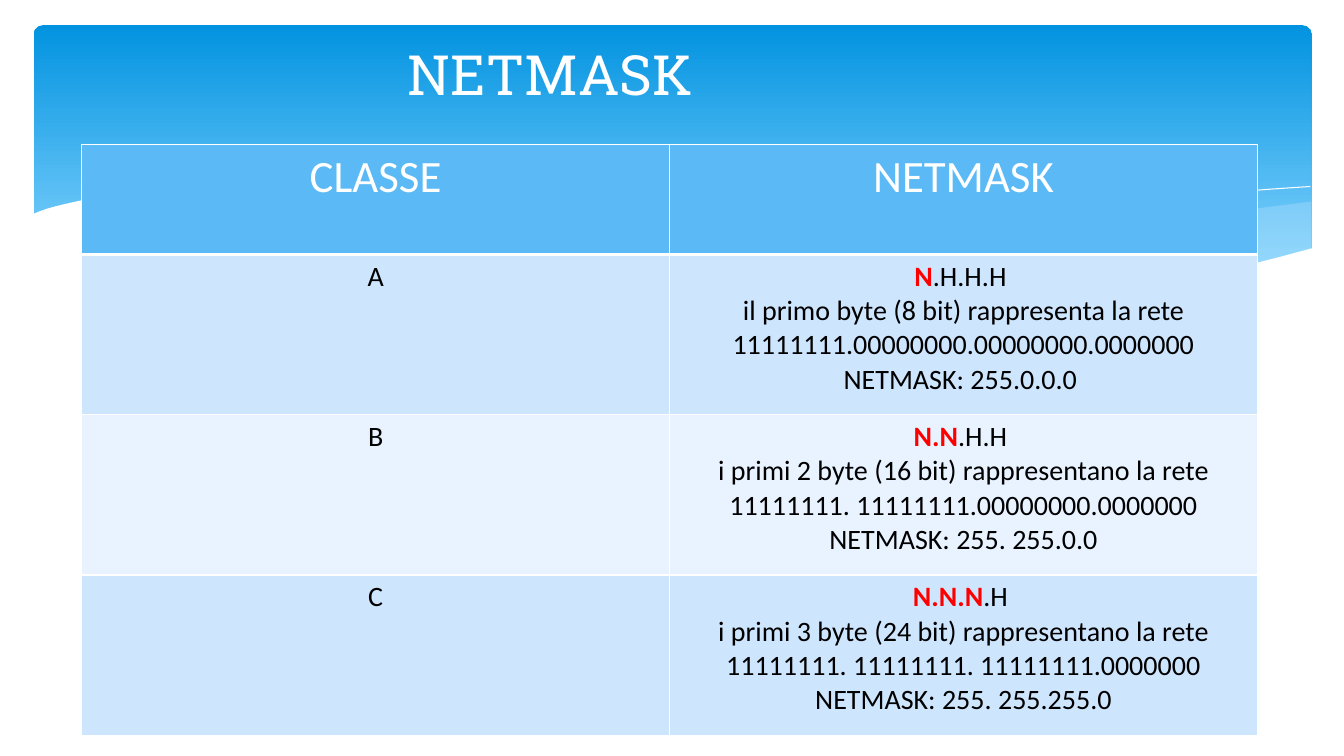
import pptx
import pptx.dml.color
import pptx.enum.shapes
import pptx.enum.text
import pptx.oxml
import pptx.oxml.ns
import pptx.util

WIDE = pptx.util.Inches(13.33)
HIGH = pptx.util.Inches(7.5)
COL = WIDE / 40
ROW = HIGH / 30
STEPS = 4

WHITE, BLACK, RED, PALE = "FFFFFF", "000000", "FF0000", "C6E7FC"
HEAD = "5BBAF6"
BANDS = ["CEE5FE", "E8F3FF"]

WAVE = [(39.09, 9.84), (36.81, 10.6), (34.53, 10.96), (32.34, 11.08),
        (29.76, 10.96), (26.73, 10.6), (23.16, 10), (20.13, 9.32),
        (17.88, 8.8), (14.58, 8.08), (11.7, 7.6), (9.18, 7.4),
        (7.05, 7.36), (4.74, 7.48), (3.03, 7.8), (1.62, 8.2), (0.93, 8.52)]
BASE = [(0.93, 13.16), (39.09, 13.16)]
TAIL_TOP = [(39.03, 8), (37.38, 8.28), (35.64, 8.64), (34.41, 8.92),
            (32.19, 9.48), (29.16, 10.12), (26.46, 10.6)]
TAIL_LOW = [(26.46, 10.6), (28.2, 10.84), (30.27, 11.04), (32.55, 11.12),
            (34.89, 10.96), (37.14, 10.52), (39.03, 9.88)]
SWELL_TOP = [(11.46, 7.64), (13.11, 7.48), (15.18, 7.4), (17.67, 7.56),
             (20.58, 7.92), (23.34, 8.44), (25.17, 8.88), (28.23, 9.6),
             (31.02, 10.16), (33.48, 10.6), (35.7, 10.92)]
SWELL_LOW = [(35.7, 10.92), (33.93, 11.08), (31.83, 11.12), (29.43, 11),
             (26.61, 10.64), (23.37, 10.08), (19.62, 9.28), (17.07, 8.64),
             (14.49, 8.12), (11.46, 7.64)]
LONG_LINE = [(12.36, 7.8), (14.1, 7.56), (16.65, 7.48), (19.56, 7.6),
             (22.26, 7.88), (25.44, 8.32), (29.1, 9.04), (31.8, 9.64),
             (36.3, 10.88)]
SHORT_LINE = [(24.54, 10.28), (27.81, 9.4), (31.05, 8.64), (34.65, 7.96),
              (36.96, 7.6), (39, 7.4)]

NETS = [
    ("A", "N", ".H.H.H ", ["il primo byte (8 bit) rappresenta la rete",
                           "11111111.00000000.00000000.0000000",
                           "NETMASK: 255.0.0.0 "]),
    ("B", "N.N", ".H.H ", ["i primi 2 byte (16 bit) rappresentano la rete",
                           "11111111. 11111111.00000000.0000000",
                           "NETMASK: 255. 255.0.0"]),
    ("C", "N.N.N", ".H ", ["i primi 3 byte (24 bit) rappresentano la rete "
                           "11111111. 11111111. 11111111.0000000",
                           "NETMASK: 255. 255.255.0"]),
]


def rgb(code):
    return pptx.dml.color.RGBColor.from_string(code)


def place(x, y):
    return round(x * COL), round(y * ROW)


def paint(fill, code, alpha=None):
    fill.solid()
    fill.fore_color.rgb = rgb(code)
    if alpha is not None:
        tint = fill._xPr.find(".//" + pptx.oxml.ns.qn("a:srgbClr"))
        tint.append(pptx.oxml.parse_xml(
            f'<a:alpha {pptx.oxml.ns.nsdecls("a")} val="{alpha * 1000}"/>'))


def curve(knots):
    ends = [knots[0], *knots, knots[-1]]
    points = [knots[0]]
    for a, b, c, d in zip(ends, ends[1:], ends[2:], ends[3:]):
        for step in range(1, STEPS + 1):
            t = step / STEPS
            points.append(tuple(
                q + t * (r - p + t * (2 * p - 5 * q + 4 * r - s
                                      + t * (3 * (q - r) + s - p))) / 2
                for p, q, r, s in zip(a, b, c, d)))
    return points


def add_free(slide, points, code=None, alpha=None):
    spots = [place(*point) for point in points]
    pen = slide.shapes.build_freeform(*spots[0], scale=1.0)
    pen.add_line_segments(spots[1:], close=code is not None)
    shape = pen.convert_to_shape()
    shape.shadow.inherit = False
    if code:
        paint(shape.fill, code, alpha)
        shape.line.fill.background()
    else:
        shape.fill.background()
        paint(shape.line.fill, WHITE)
        shape.line.width = pptx.util.Pt(0)


def add_sky(slide):
    sky = slide.shapes.add_shape(
        pptx.enum.shapes.MSO_SHAPE.ROUNDED_RECTANGLE,
        *place(1, 1), *place(38.04, 10.8))
    sky.adjustments[0] = 0.034
    sky.shadow.inherit = False
    sky.line.fill.background()
    sky.fill.gradient()
    sky.fill.gradient_angle = 270
    for stop, code, spot in zip(sky.fill.gradient_stops,
                                ["0293E0", "83D3FE"], [0, 0.9]):
        stop.color.rgb = rgb(code)
        stop.position = spot


def style(run, size, code, font="Calibri", bold=False):
    run.font.size = pptx.util.Pt(size)
    run.font.name = font
    run.font.bold = bold
    run.font.color.rgb = rgb(code)


def write(frame, text, size, code, font="Calibri"):
    frame.text = text
    for line in frame.paragraphs:
        line.alignment = pptx.enum.text.PP_ALIGN.CENTER
        for run in line.runs:
            style(run, size, code, font)


def add_title(slide, text):
    box = slide.shapes.add_textbox(*place(2.28, 1.48), *place(28.2, 2.84))
    box.text_frame.word_wrap = True
    box.text_frame.vertical_anchor = pptx.enum.text.MSO_ANCHOR.MIDDLE
    write(box.text_frame, text, 39.6, WHITE, "Roboto Slab")


def edge(cell, low=1):
    props = cell._tc.get_or_add_tcPr()
    for spot, (side, width) in enumerate(
            [("L", 1), ("R", 1), ("T", 1), ("B", low)]):
        props.insert(spot, pptx.oxml.parse_xml(
            f'<a:ln{side} {pptx.oxml.ns.nsdecls("a")} '
            f'w="{pptx.util.Pt(width)}"><a:solidFill>'
            f'<a:srgbClr val="{WHITE}"/></a:solidFill></a:ln{side}>'))


def fill_cell(cell, text, size, code, back, low=1):
    write(cell.text_frame, text, size, code)
    paint(cell.fill, back)
    edge(cell, low)


def add_grid(slide):
    grid = slide.shapes.add_table(
        len(NETS) + 1, 2, *place(2.43, 5.74), *place(35, 23.44)).table
    grid.first_row = grid.horz_banding = False
    for row, high in zip(grid.rows, [4.36] + [6.36] * len(NETS)):
        row.height = round(high * ROW)
    for col, text in enumerate(["CLASSE", "NETMASK"]):
        fill_cell(grid.cell(0, col), text, 32, WHITE, HEAD, 3)
    for row, (name, net, host, notes) in enumerate(NETS, 1):
        back = BANDS[(row - 1) % 2]
        fill_cell(grid.cell(row, 0), name, 20, BLACK, back)
        cell = grid.cell(row, 1)
        fill_cell(cell, "\n".join([net, *notes]), 20, BLACK, back)
        first = cell.text_frame.paragraphs[0]
        style(first.runs[0], 20, RED, bold=True)
        rest = first.add_run()
        rest.text = host
        style(rest, 20, BLACK)


def main():
    deck = pptx.Presentation()
    deck.slide_width, deck.slide_height = WIDE, HIGH
    slide = deck.slides.add_slide(deck.slide_layouts[6])
    add_sky(slide)
    add_free(slide, curve(TAIL_TOP) + curve(TAIL_LOW), PALE, 29)
    add_free(slide, curve(SWELL_TOP) + curve(SWELL_LOW), PALE, 40)
    add_free(slide, curve(LONG_LINE))
    add_free(slide, curve(SHORT_LINE))
    add_free(slide, curve(WAVE) + BASE, WHITE)
    add_title(slide, "NETMASK")
    add_grid(slide)
    deck.save("out.pptx")


if __name__ == "__main__":
    main()
